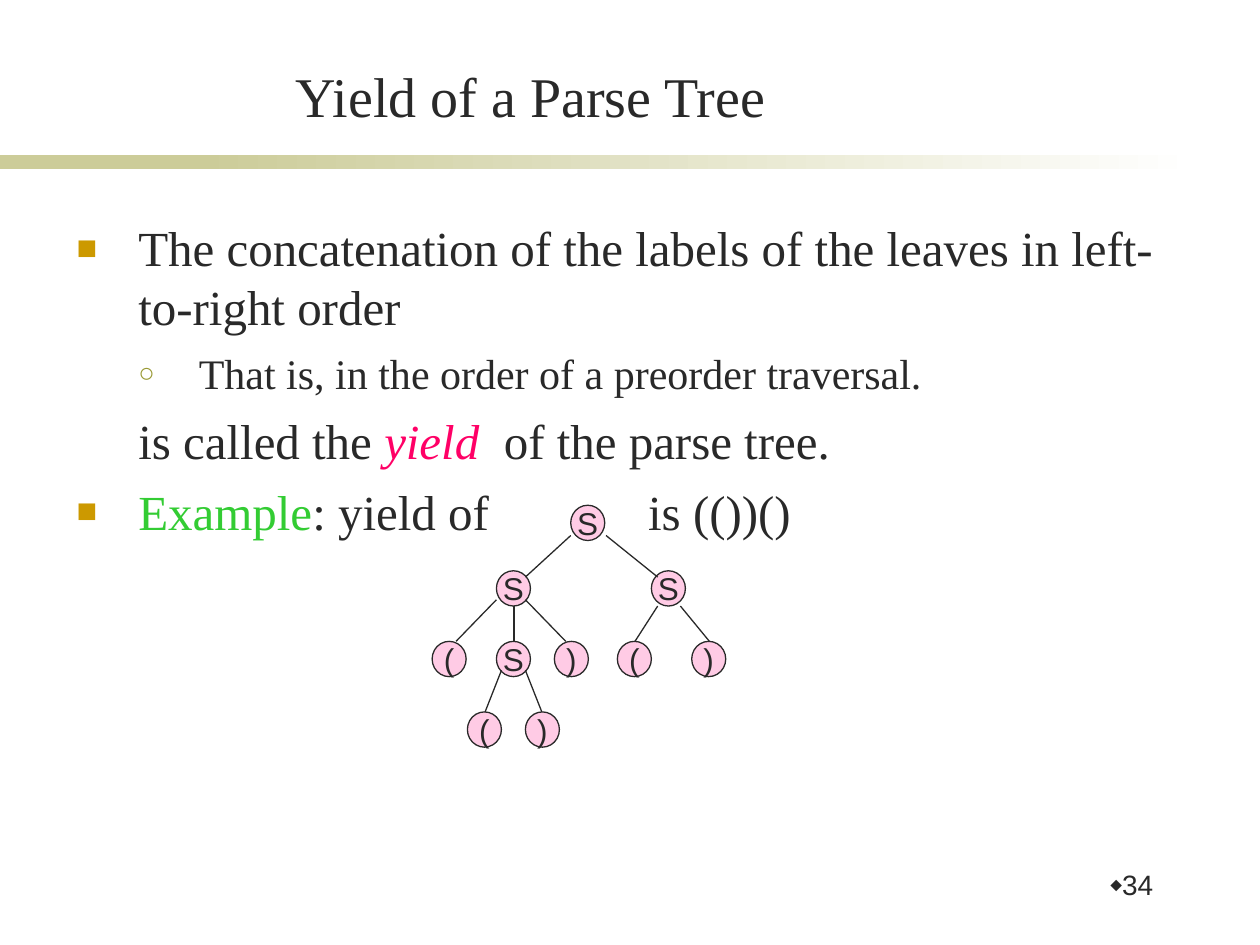
from typing import NamedTuple

from lxml.etree import SubElement
from pptx import Presentation
from pptx.dml.color import RGBColor
from pptx.enum.shapes import MSO_CONNECTOR, MSO_SHAPE
from pptx.enum.text import MSO_ANCHOR, PP_ALIGN
from pptx.oxml.ns import qn
from pptx.util import Inches, Pt

INK, SAND, WHITE = "292929", "CCCC99", "FFFFFF"
SERIF, SANS = "Times New Roman", "Arial"
NODE_WIDTH, NODE_HEIGHT = 0.27, 0.28


class Bullet(NamedTuple):
    char: str
    color: str
    percent: int


class Node(NamedTuple):
    label: str
    left: float
    top: float


class Edge(NamedTuple):
    x1: float
    y1: float
    x2: float
    y2: float


SQUARE = Bullet("■", "CC9900", 70)
CIRCLE = Bullet("○", "999933", 65)
DIAMOND = Bullet("⬥", INK, 60)

ROWS = (4.01, 4.53, 5.09, 5.65)
NODES = [
    Node("S", 4.53, ROWS[0]),
    Node("S", 3.94, ROWS[1]), Node("S", 5.17, ROWS[1]),
    Node("(", 3.43, ROWS[2]), Node("S", 3.94, ROWS[2]), Node(")", 4.4, ROWS[2]),
    Node("(", 4.9, ROWS[2]), Node(")", 5.49, ROWS[2]),
    Node("(", 3.71, ROWS[3]), Node(")", 4.17, ROWS[3]),
]
EDGES = [
    Edge(4.53, 4.25, 4.17, 4.58), Edge(4.81, 4.25, 5.22, 4.58),
    Edge(3.94, 4.76, 3.62, 5.09), Edge(4.08, 4.81, 4.08, 5.09),
    Edge(4.17, 4.76, 4.49, 5.09),
    Edge(5.22, 4.81, 5.04, 5.09), Edge(5.4, 4.81, 5.63, 5.09),
    Edge(3.98, 5.32, 3.85, 5.65), Edge(4.17, 5.32, 4.3, 5.65),
]


def rgb(color: str) -> RGBColor:
    return RGBColor.from_string(color)


def add_span(para, text: str, size=28, font=SERIF, color=INK, italic=False, spacing=0) -> None:
    span = para.add_run()
    span.text = text
    span.font.size, span.font.name = Pt(size), font
    span.font.color.rgb = rgb(color)
    span.font.italic = italic
    if spacing:
        span.font._element.set("spc", str(spacing * 100))


def format_para(para, bullet=None, margin=0.0, hanging=0.0, before=0) -> None:
    properties = para._p.get_or_add_pPr()
    properties.set("marL", str(Inches(margin)))
    properties.set("indent", str(-Inches(hanging)))
    para.space_before = Pt(before)
    if bullet is None:
        SubElement(properties, qn("a:buNone"))
        return
    color = SubElement(properties, qn("a:buClr"))
    SubElement(color, qn("a:srgbClr"), val=bullet.color)
    SubElement(properties, qn("a:buSzPct"), val=str(bullet.percent * 1000))
    SubElement(properties, qn("a:buFont"), typeface=SANS)
    SubElement(properties, qn("a:buChar"), char=bullet.char)


def add_box(page, left: float, top: float, width: float, height: float):
    box = page.shapes.add_textbox(Inches(left), Inches(top), Inches(width), Inches(height))
    box.text_frame.word_wrap = True
    return box.text_frame


def add_band(page, left: float, width: float, end_color: str) -> None:
    band = page.shapes.add_shape(
        MSO_SHAPE.RECTANGLE, Inches(left), Inches(1.23), Inches(width), Inches(0.11))
    band.shadow.inherit = False
    band.line.fill.background()
    band.fill.gradient()
    band.fill.gradient_angle = 0
    for stop, color in zip(band.fill.gradient_stops, (SAND, end_color)):
        stop.color.rgb = rgb(color)


def add_node(group, node: Node) -> None:
    circle = group.shapes.add_shape(
        MSO_SHAPE.OVAL, Inches(node.left), Inches(node.top),
        Inches(NODE_WIDTH), Inches(NODE_HEIGHT))
    circle.shadow.inherit = False
    circle.fill.solid()
    circle.fill.fore_color.rgb = rgb("FF99CC")
    fill_color = circle._element.spPr.find(qn("a:solidFill")).find(qn("a:srgbClr"))
    SubElement(fill_color, qn("a:alpha"), val="50000")
    circle.line.color.rgb = rgb(INK)
    circle.line.width = Pt(0.75)
    frame = circle.text_frame
    frame.word_wrap = False
    frame.vertical_anchor = MSO_ANCHOR.MIDDLE
    frame.margin_left = frame.margin_right = frame.margin_top = frame.margin_bottom = 0
    para = frame.paragraphs[0]
    para.alignment = PP_ALIGN.CENTER
    add_span(para, node.label, size=18, font=SANS)


def add_edge(group, edge: Edge) -> None:
    line = group.shapes.add_connector(
        MSO_CONNECTOR.STRAIGHT, *(Inches(value) for value in edge))
    line.line.color.rgb = rgb(INK)
    line.line.width = Pt(0.75)
    SubElement(line._element.spPr, qn("a:effectLst"))


def add_title(page) -> None:
    title = page.shapes.title
    title.left, title.top = Inches(1.14), Inches(0.44)
    title.width, title.height = Inches(6.14), Inches(0.63)
    title.text_frame.vertical_anchor = MSO_ANCHOR.BOTTOM
    para = title.text_frame.paragraphs[0]
    para.alignment = PP_ALIGN.CENTER
    add_span(para, "Yield of a Parse Tree", size=32)


def add_body(page) -> None:
    frame = add_box(page, 0.51, 1.68, 8.9, 4.74)
    para = frame.paragraphs[0]
    format_para(para, SQUARE, 0.49, 0.49)
    add_span(para, "The concatenation of the labels of the leaves in left-to-right order")

    para = frame.add_paragraph()
    para.level = 1
    format_para(para, CIRCLE, 0.97, 0.48, before=7)
    add_span(para, "That is, in the order of a preorder traversal.", size=24)

    para = frame.add_paragraph()
    format_para(para, margin=0.49, before=7)
    add_span(para, "is called the ")
    add_span(para, "yield", color="FF0066", italic=True)
    add_span(para, " ", spacing=7)
    add_span(para, "of the parse tree.")

    # The widened space leaves room for the root of the tree
    para = frame.add_paragraph()
    format_para(para, SQUARE, 0.49, 0.49, before=7)
    add_span(para, "Example", color="33CC33")
    add_span(para, ": yield of")
    add_span(para, " ", spacing=84)
    add_span(para, "is (())()")


def main() -> None:
    deck = Presentation()
    deck.slide_width, deck.slide_height = Inches(10), Inches(7.5)
    page = deck.slides.add_slide(deck.slide_layouts[5])

    # Rule under the title
    add_band(page, 0, 2.33, SAND)
    add_band(page, 1.58, 7.92, WHITE)

    # Page number
    para = add_box(page, 8.23, 6.87, 1.02, 0.5).paragraphs[0]
    para.alignment = PP_ALIGN.RIGHT
    para.line_spacing = 0.9
    format_para(para, DIAMOND)
    add_span(para, "34", size=16, font=SANS)

    add_title(page)
    add_body(page)

    # Parse tree
    tree = page.shapes.add_group_shape()
    for node in NODES:
        add_node(tree, node)
    for edge in EDGES:
        add_edge(tree, edge)

    deck.save("out.pptx")


if __name__ == "__main__":
    main()
